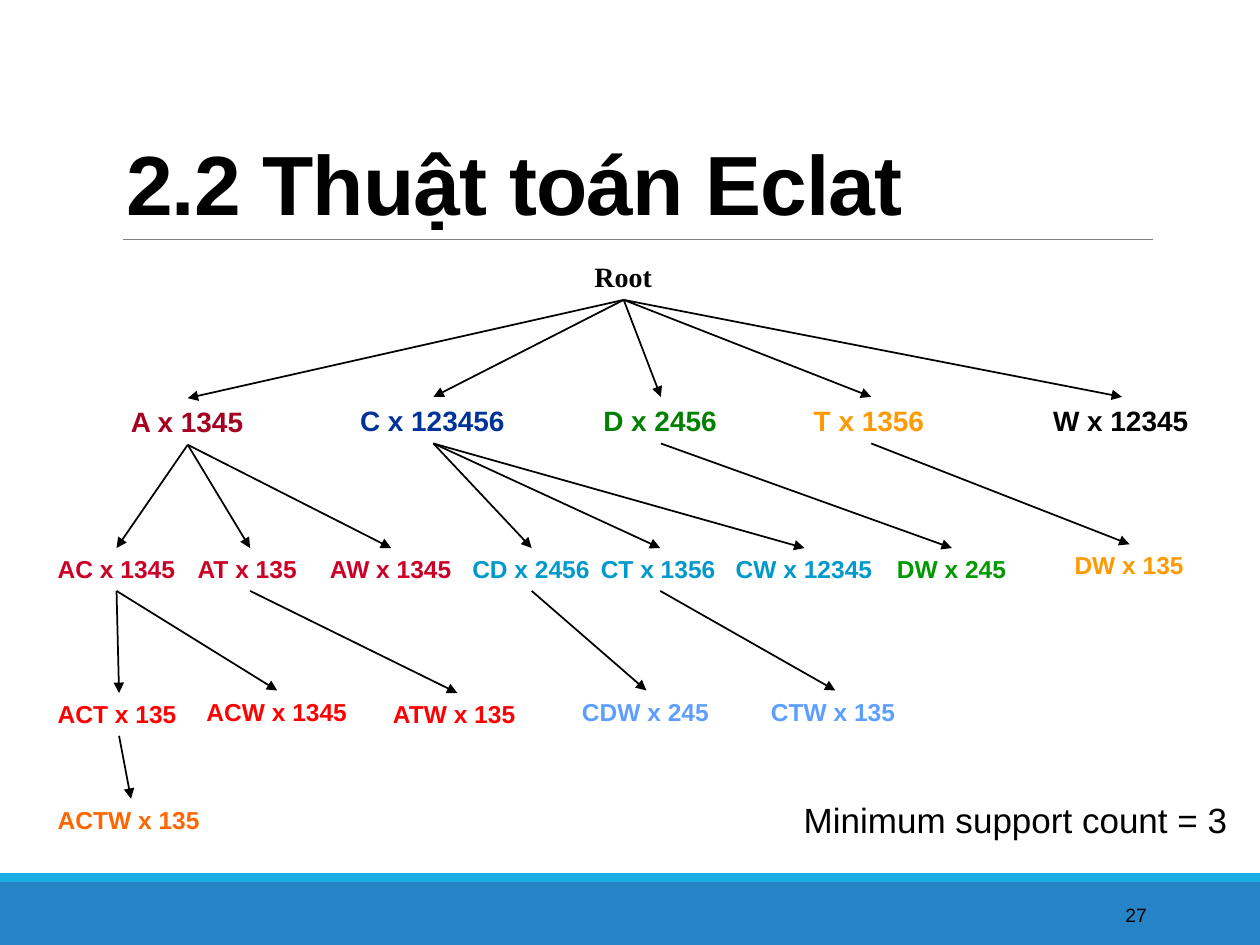
from lxml import etree
from pptx import Presentation
from pptx.dml.color import RGBColor
from pptx.enum.shapes import MSO_CONNECTOR, MSO_SHAPE
from pptx.enum.text import MSO_ANCHOR, MSO_AUTO_SIZE, PP_ALIGN
from pptx.oxml.ns import qn
from pptx.util import Inches, Pt

COLOURS = {
    "black": "000000", "rule": "808080", "footer": "2683C6", "stripe": "1CADE4",
    "crimson": "A50021", "navy": "003399", "forest": "008000", "amber": "FF9900",
    "rose": "CC0027", "teal": "0099CC", "green": "009900",
    "red": "FF0000", "sky": "5D9FFF", "orange": "FF6600",
}
TITLE = "2.2 Thuật toán Eclat"
NOTE = "Minimum support count = 3"
PAGE_NUMBER = "27"

# Each level: text size, box height, font, and its itemsets as
# (label, parent label, left, top, width, colour)
LEVELS = [
    (16, 0.37, "Times New Roman", [
        ("Root", None, 4.62, 2.01, 0.66, "black"),
    ]),
    (16, 0.37, "Arial", [
        ("A x 1345", "Root", 0.94, 3.16, 1.10, "crimson"),
        ("C x 123456", "Root", 2.76, 3.15, 1.36, "navy"),
        ("D x 2456", "Root", 4.69, 3.15, 1.11, "forest"),
        ("T x 1356", "Root", 6.36, 3.15, 1.11, "amber"),
        ("W x 12345", "Root", 8.26, 3.15, 1.29, "black"),
    ]),
    (14, 0.34, "Arial", [
        ("AC x 1345", "A x 1345", 0.36, 4.35, 1.13, "rose"),
        ("AT x 135", "A x 1345", 1.47, 4.35, 1.03, "rose"),
        ("AW x 1345", "A x 1345", 2.52, 4.35, 1.17, "rose"),
        ("CD x 2456", "C x 123456", 3.65, 4.35, 1.14, "teal"),
        ("CT x 1356", "C x 123456", 4.67, 4.35, 1.14, "teal"),
        ("CW x 12345", "C x 123456", 5.74, 4.35, 1.29, "teal"),
        ("DW x 245", "D x 2456", 7.02, 4.35, 1.07, "green"),
        ("DW x 135", "T x 1356", 8.43, 4.32, 1.07, "amber"),
    ]),
    (14, 0.34, "Arial", [
        ("ACT x 135", "AC x 1345", 0.36, 5.50, 1.17, "red"),
        ("ACW x 1345", "AC x 1345", 1.54, 5.48, 1.32, "red"),
        ("ATW x 135", "AT x 135", 3.02, 5.50, 1.22, "red"),
        ("CDW x 245", "CD x 2456", 4.52, 5.48, 1.22, "sky"),
        ("CTW x 135", "CT x 1356", 6.02, 5.48, 1.22, "sky"),
    ]),
    (14, 0.34, "Arial", [
        ("ACTW x 135", "ACT x 135", 0.36, 6.34, 1.36, "orange"),
    ]),
]
WRAPPED = {"AC x 1345"}
BOTTOM, TOP = 2, 0


def rgb(name):
    return RGBColor.from_string(COLOURS[name])


def add_run(paragraph, text, size, colour, font="Arial", bold=False):
    run = paragraph.add_run()
    run.text = text
    run.font.size = Pt(size)
    run.font.name = font
    run.font.bold = bold
    run.font.color.rgb = rgb(colour)
    return run


def add_label(slide, text, box, size, colour, font="Arial", bold=False, wrap=False):
    label = slide.shapes.add_textbox(*map(Inches, box))
    frame = label.text_frame
    frame.word_wrap = wrap
    frame.auto_size = MSO_AUTO_SIZE.NONE if wrap else MSO_AUTO_SIZE.SHAPE_TO_FIT_TEXT
    add_run(frame.paragraphs[0], text, size, colour, font, bold)
    return label


def add_line(slide, colour, width, start=(0, 0), end=(0, 0)):
    line = slide.shapes.add_connector(
        MSO_CONNECTOR.STRAIGHT, *map(Inches, (*start, *end)))
    line.line.color.rgb = rgb(colour)
    line.line.width = Pt(width)
    etree.SubElement(line._element.spPr, qn("a:effectLst"))
    return line


def add_branch(slide, parent, child):
    branch = add_line(slide, "black", 1)
    branch.begin_connect(parent, BOTTOM)
    branch.end_connect(child, TOP)
    etree.SubElement(branch.line._get_or_add_ln(), qn("a:tailEnd"), type="triangle")


def add_band(slide, top, height, colour):
    band = slide.shapes.add_shape(
        MSO_SHAPE.RECTANGLE, *map(Inches, (0, top, 10, height)))
    band.shadow.inherit = False
    band.fill.solid()
    band.fill.fore_color.rgb = rgb(colour)
    band.line.fill.background()


def add_title(slide):
    title = slide.shapes.title
    title.left, title.top, title.width, title.height = map(
        Inches, (0.9, 0.31, 8.25, 1.59))
    frame = title.text_frame
    frame.auto_size = MSO_AUTO_SIZE.NONE
    frame.vertical_anchor = MSO_ANCHOR.BOTTOM
    heading = frame.paragraphs[0]
    heading.alignment = PP_ALIGN.LEFT
    heading.line_spacing = 0.85
    run = add_run(heading, TITLE, 48, "black", bold=True)
    run.font._element.set("spc", "-50")


def add_tree(slide):
    nodes = {}
    for size, height, font, itemsets in LEVELS:
        for label, parent, left, top, width, colour in itemsets:
            nodes[label] = add_label(slide, label, (left, top, width, height),
                                     size, colour, font, True, label in WRAPPED)
            if parent:
                add_branch(slide, nodes[parent], nodes[label])


def main():
    deck = Presentation()
    deck.slide_width, deck.slide_height = Inches(10), Inches(7.5)
    slide = deck.slides.add_slide(deck.slide_layouts[5])

    add_band(slide, 7, 0.5, "footer")
    add_band(slide, 6.93, 0.07, "stripe")
    add_line(slide, "rule", 0.5, (0.98, 1.9), (9.15, 1.9))
    add_title(slide)
    add_tree(slide)
    add_label(slide, NOTE, (6.28, 6.29, 3.59, 0.44), 20, "black")

    number = add_label(slide, PAGE_NUMBER, (8.12, 7.06, 1.08, 0.4), 11, "black", wrap=True)
    number.text_frame.vertical_anchor = MSO_ANCHOR.MIDDLE
    number.text_frame.paragraphs[0].alignment = PP_ALIGN.RIGHT

    deck.save("out.pptx")


if __name__ == "__main__":
    main()
